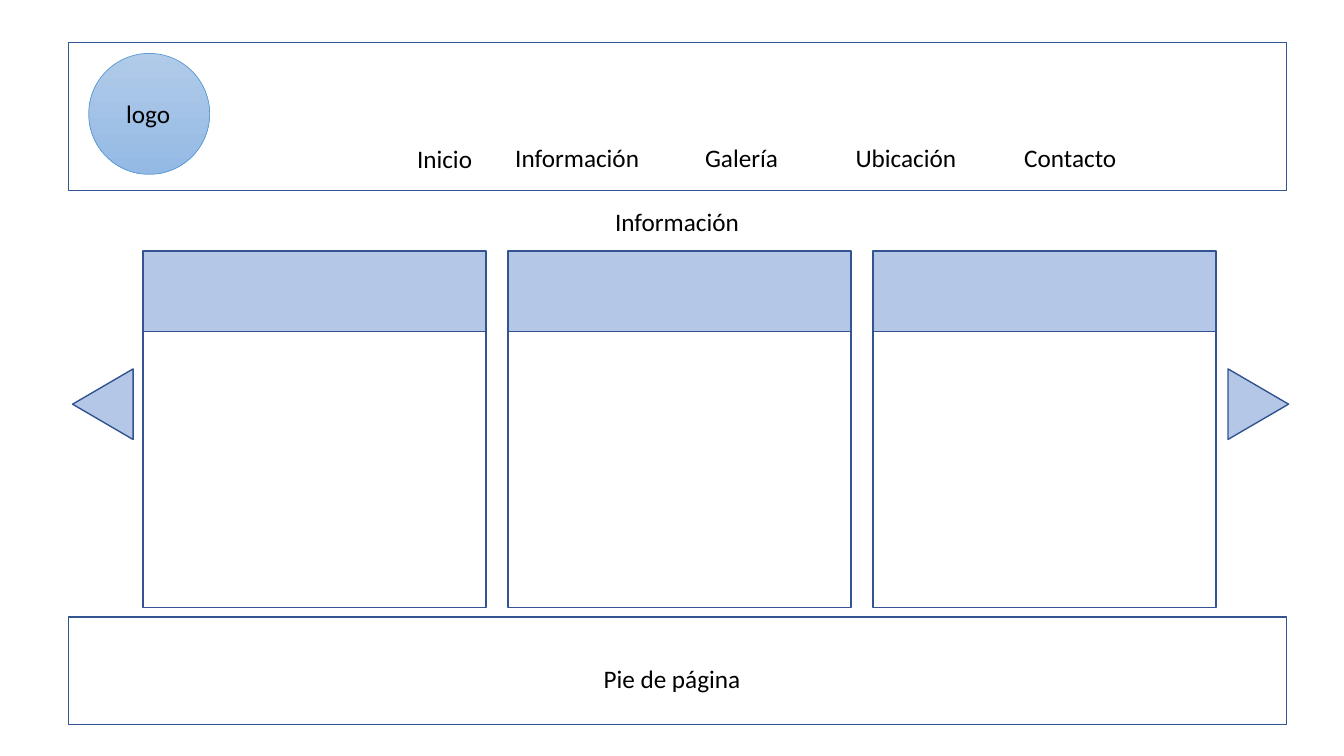
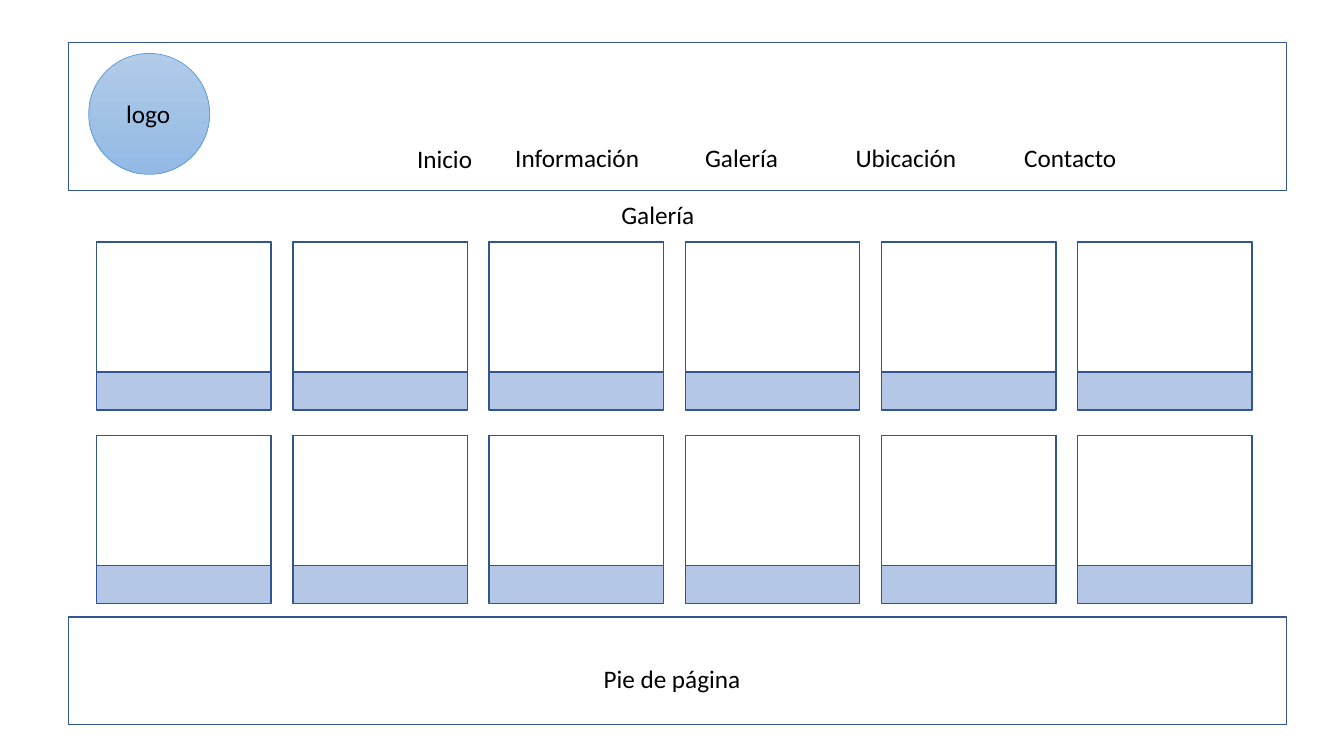
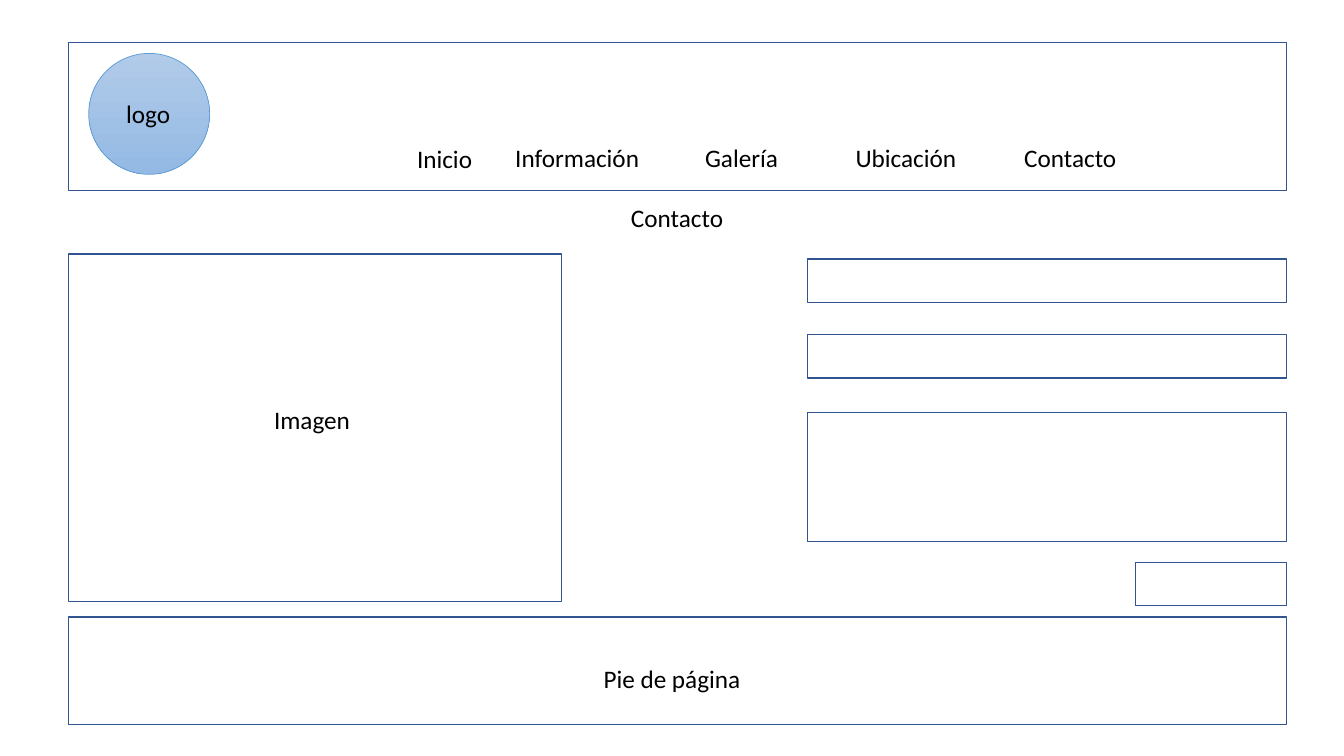
from pptx import Presentation
from pptx.dml.color import RGBColor
from pptx.enum import shapes, text
from pptx.util import Inches, Pt

NAVY = RGBColor(0x32, 0x54, 0x91)
PALE_BLUE = RGBColor(0xB4, 0xC7, 0xE7)
WHITE = RGBColor(0xFF, 0xFF, 0xFF)
BLACK = RGBColor(0, 0, 0)
LOGO_TOP = RGBColor(0xB1, 0xCB, 0xE9)
LOGO_BOTTOM = RGBColor(0x93, 0xB9, 0xE4)
LOGO_EDGE = RGBColor(0x5B, 0x9B, 0xD5)

RECT = shapes.MSO_SHAPE.RECTANGLE
TRIANGLE = shapes.MSO_SHAPE.ISOSCELES_TRIANGLE
LEFT, FULL_WIDTH = 0.68, 12.08
LABEL_WIDTH = 1.63


def add_box(parent, left, top, width, height, fill=None, kind=RECT,
            line=NAVY, weight=1, rotation=0):
    box = parent.add_shape(kind, Inches(left), Inches(top),
                           Inches(width), Inches(height))
    box.shadow.inherit = False
    box.rotation = rotation
    if fill is None:
        box.fill.background()
    else:
        box.fill.solid()
        box.fill.fore_color.rgb = fill
    box.line.color.rgb = line
    box.line.width = Pt(weight)
    return box


def add_label(slide, words, left, top, width=LABEL_WIDTH, size=18,
              color=BLACK, font="Calibri"):
    label = slide.shapes.add_textbox(Inches(left), Inches(top),
                                     Inches(width), Inches(0.4))
    label.text_frame.word_wrap = True
    label.text_frame.auto_size = text.MSO_AUTO_SIZE.SHAPE_TO_FIT_TEXT
    paragraph = label.text_frame.paragraphs[0]
    paragraph.alignment = text.PP_ALIGN.CENTER
    run = paragraph.add_run()
    run.text = words
    run.font.size = Pt(size)
    run.font.name = font
    run.font.color.rgb = color


prs = Presentation()
prs.slide_width, prs.slide_height = Inches(13.33), Inches(7.5)

# Page frame shared by every slide: footer, header, logo, menu, page title
pages = []
for title, title_left, title_top in [("Información", 5.9, 2),
                                     ("Galería", 5.71, 1.93),
                                     ("Contacto", 5.9, 1.96)]:
    page = prs.slides.add_slide(prs.slide_layouts[6])
    pages.append(page)
    add_box(page.shapes, LEFT, 6.12, FULL_WIDTH, 1.07)
    add_label(page, "Pie de página", 5.85, 6.53)
    add_box(page.shapes, LEFT, 0.42, FULL_WIDTH, 1.47)

    logo = add_box(page.shapes, 0.88, 0.53, 1.2, 1.2,
                   kind=shapes.MSO_SHAPE.OVAL, line=LOGO_EDGE, weight=0.5)
    logo.fill.gradient()
    logo.fill.gradient_angle = 270
    for stop, color in zip(logo.fill.gradient_stops, (LOGO_TOP, LOGO_BOTTOM)):
        stop.color.rgb = color
    add_label(page, "logo", 0.97, 0.93, width=1)

    add_label(page, "Inicio", 3.91, 1.37, width=1)
    for i, entry in enumerate(["Información", "Galería", "Ubicación", "Contacto"]):
        add_label(page, entry, 4.91 + i * LABEL_WIDTH, 1.36)
    add_label(page, title, title_left, title_top)

information, gallery, contact = pages

# Información: three cards between two carousel arrows
for i in range(3):
    card_left = 1.42 + i * 3.62
    add_box(information.shapes, card_left, 2.49, 3.4, 3.53, fill=PALE_BLUE)
    add_box(information.shapes, card_left, 3.29, 3.4, 2.74, fill=WHITE)
for arrow_left, rotation in [(0.67, 270), (12.13, 90)]:
    add_box(information.shapes, arrow_left, 3.71, 0.7, 0.6, fill=PALE_BLUE,
            kind=TRIANGLE, rotation=rotation)

# Galería: six columns by two rows of captioned frames
for column in range(6):
    for row in range(2):
        frame_left, frame_top = 0.96 + column * 9.73 / 5, 2.4 + row * 1.92
        frame = gallery.shapes.add_group_shape()
        add_box(frame.shapes, frame_left, frame_top, 1.73, 1.67, fill=PALE_BLUE)
        add_box(frame.shapes, frame_left, frame_top, 1.73, 1.29, fill=WHITE)

# Contacto: image area, form fields and button
add_box(contact.shapes, LEFT, 2.52, 4.89, 3.45, fill=WHITE)
add_label(contact, "Imagen", 2.28, 3.96)
for field_top, field_width, field_height in [(2.57, 4.75, 0.43), (3.32, 4.75, 0.43),
                                             (4.09, 4.75, 1.28), (5.58, 1.5, 0.43)]:
    add_box(contact.shapes, LEFT + FULL_WIDTH - field_width, field_top,
            field_width, field_height, fill=WHITE)

prs.save("out.pptx")
